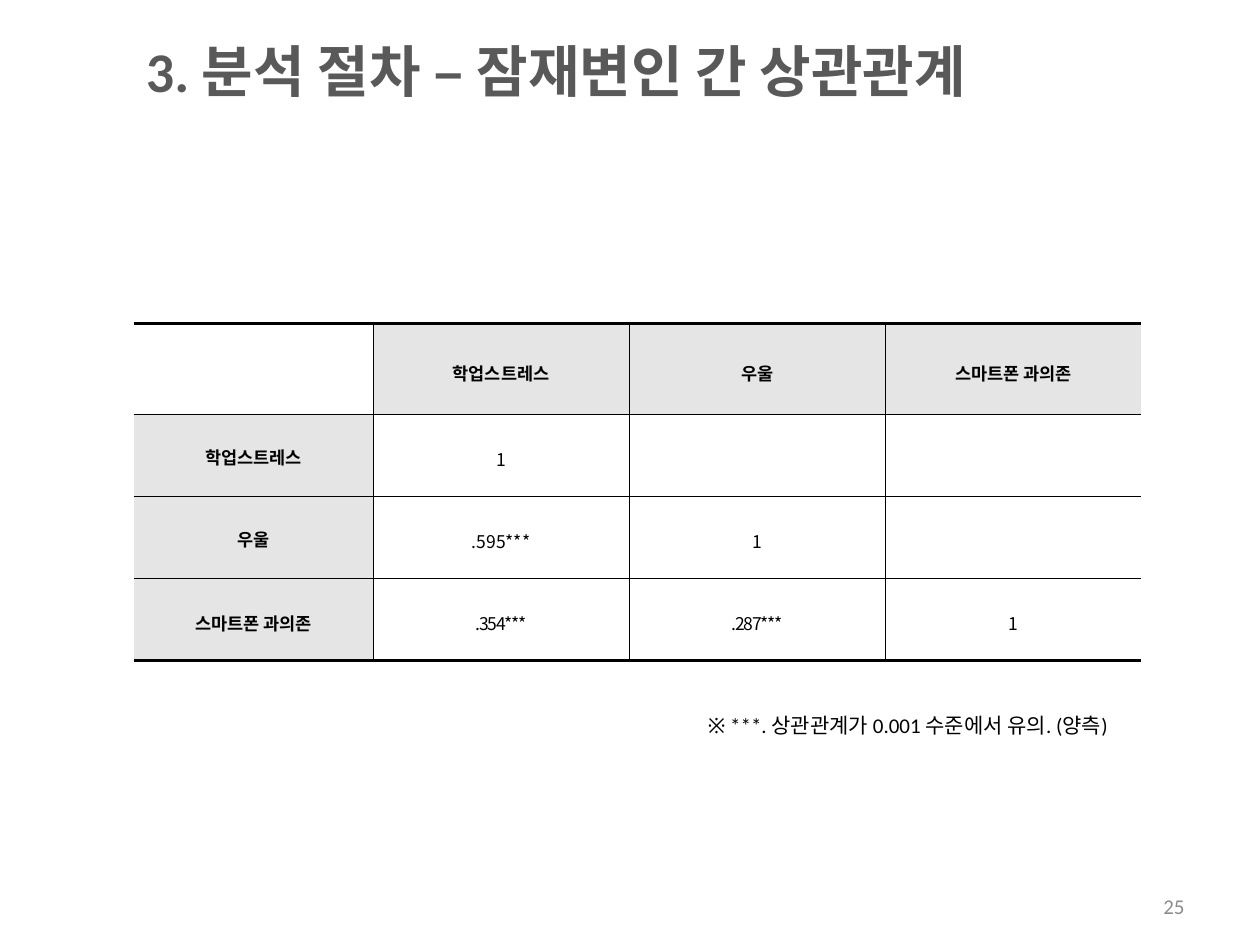
"""Build a slide with the correlation table of the latent variables."""
from lxml.etree import SubElement
from pptx import Presentation
from pptx.dml.color import RGBColor
from pptx.enum.text import MSO_ANCHOR as Anchor, PP_ALIGN as Align
from pptx.oxml.ns import qn
from pptx.util import Pt

TITLE = "3. 분석 절차 – 잠재변인 간 상관관계"
NOTE = "※ ***. 상관관계가 0.001 수준에서 유의. (양측)"
PAGE_NUMBER = "25"
ROWS = [
    ["", "학업스트레스", "우울", "스마트폰 과의존"],
    ["학업스트레스", "1", "", ""],
    ["우울", ".595***", "1", ""],
    ["스마트폰 과의존", ".354***", ".287***", "1"],
]
COLUMN_WIDTHS = [136.8, 146.4, 146.4, 146.4]
ROW_HEIGHTS = [51.8, 46.9, 46.9, 46.9]
TABLE_LEFT, TABLE_TOP = 76.3, 185
THIN, THICK = 0.28, 1.7
TIGHT_LABEL_ROWS = (1, 2)
TIGHT_SPACED_ROW = 3

HEADING = {"size": Pt(10), "name": "Calibri", "bold": True}
VALUE = {"size": Pt(10), "name": "Noto Sans CJK KR", "bold": False}
CELL = {"vertical_anchor": Anchor.MIDDLE, "margin_left": Pt(5.1), "margin_right": Pt(5.1),
        "margin_top": Pt(1.4), "margin_bottom": Pt(1.4)}
TEXT_BOXES = [
    (TITLE, (76.3, 8.6, 558, 62.6), "595959", {"size": Pt(32), "name": "Calibri", "bold": True},
     {"alignment": Align.LEFT}, Anchor.MIDDLE),
    (NOTE, (397.4, 395.3, 252.7, 74.2), "000000", {"size": Pt(12), "name": "Calibri"},
     {"alignment": Align.JUSTIFY, "line_spacing": 1.6}, Anchor.TOP),
    (PAGE_NUMBER, (516.2, 506.2, 167.8, 23), "8C8C8C", {"size": Pt(12), "name": "Calibri"},
     {"alignment": Align.RIGHT}, Anchor.MIDDLE),
]


def color(value):
    return RGBColor.from_string(value)


def set_values(target, values):
    for name, value in values.items():
        setattr(target, name, value)


def write(paragraph, text, font, text_color, layout):
    set_values(paragraph, layout)
    run = paragraph.add_run()
    run.text = text
    set_values(run.font, font)
    run.font.color.rgb = color(text_color)
    return run


def add_text(slide, text, box, text_color, font, layout, anchor):
    frame = slide.shapes.add_textbox(*map(Pt, box)).text_frame
    set_values(frame, {"word_wrap": True, "vertical_anchor": anchor})
    write(frame.paragraphs[0], text, font, text_color, layout)


def set_borders(cell, widths):
    properties = cell._tc.get_or_add_tcPr()
    for index, (side, width) in enumerate(widths.items()):
        line = SubElement(properties, qn(f"a:ln{side}"), w=str(int(Pt(width))))
        properties.insert(index, line)
        if width:
            fill = SubElement(line, qn("a:solidFill"))
            SubElement(fill, qn("a:srgbClr"), val="000000")
        else:
            SubElement(line, qn("a:noFill"))


def fill_cell(cell, text, row, column):
    last_row, last_column = len(ROWS) - 1, len(COLUMN_WIDTHS) - 1
    is_heading = (row == 0) != (column == 0)
    set_values(cell, CELL)
    cell.fill.solid()
    cell.fill.fore_color.rgb = color("E5E5E5" if is_heading else "FFFFFF")
    set_borders(cell, {
        "L": THIN if column else 0,
        "R": THIN if column < last_column else 0,
        "T": THIN if row else THICK,
        "B": THIN if row < last_row else THICK,
    })
    if text:
        tight_label = column == 0 and row in TIGHT_LABEL_ROWS
        layout = {"alignment": Align.CENTER, "line_spacing": 1.1 if tight_label else 1.3}
        run = write(cell.text_frame.paragraphs[0], text,
                    HEADING if is_heading else VALUE, "000000", layout)
        if row == TIGHT_SPACED_ROW and text.startswith("."):
            run.font._element.set("spc", "-70")


def add_correlation_table(slide):
    size = (sum(COLUMN_WIDTHS), sum(ROW_HEIGHTS))
    frame = slide.shapes.add_table(len(ROWS), len(COLUMN_WIDTHS),
                                   *map(Pt, (TABLE_LEFT, TABLE_TOP, *size)))
    table = frame.table
    set_values(table, {"first_row": False, "horz_banding": False})
    for column, width in zip(table.columns, COLUMN_WIDTHS):
        column.width = Pt(width)
    for row, height in zip(table.rows, ROW_HEIGHTS):
        row.height = Pt(height)
    for row, texts in enumerate(ROWS):
        for column, text in enumerate(texts):
            fill_cell(table.cell(row, column), text, row, column)


def main():
    presentation = Presentation()
    set_values(presentation, {"slide_width": Pt(720), "slide_height": Pt(540)})
    slide = presentation.slides.add_slide(presentation.slide_layouts[6])
    add_correlation_table(slide)
    for text_box in TEXT_BOXES:
        add_text(slide, *text_box)
    presentation.save("out.pptx")


if __name__ == "__main__":
    main()
